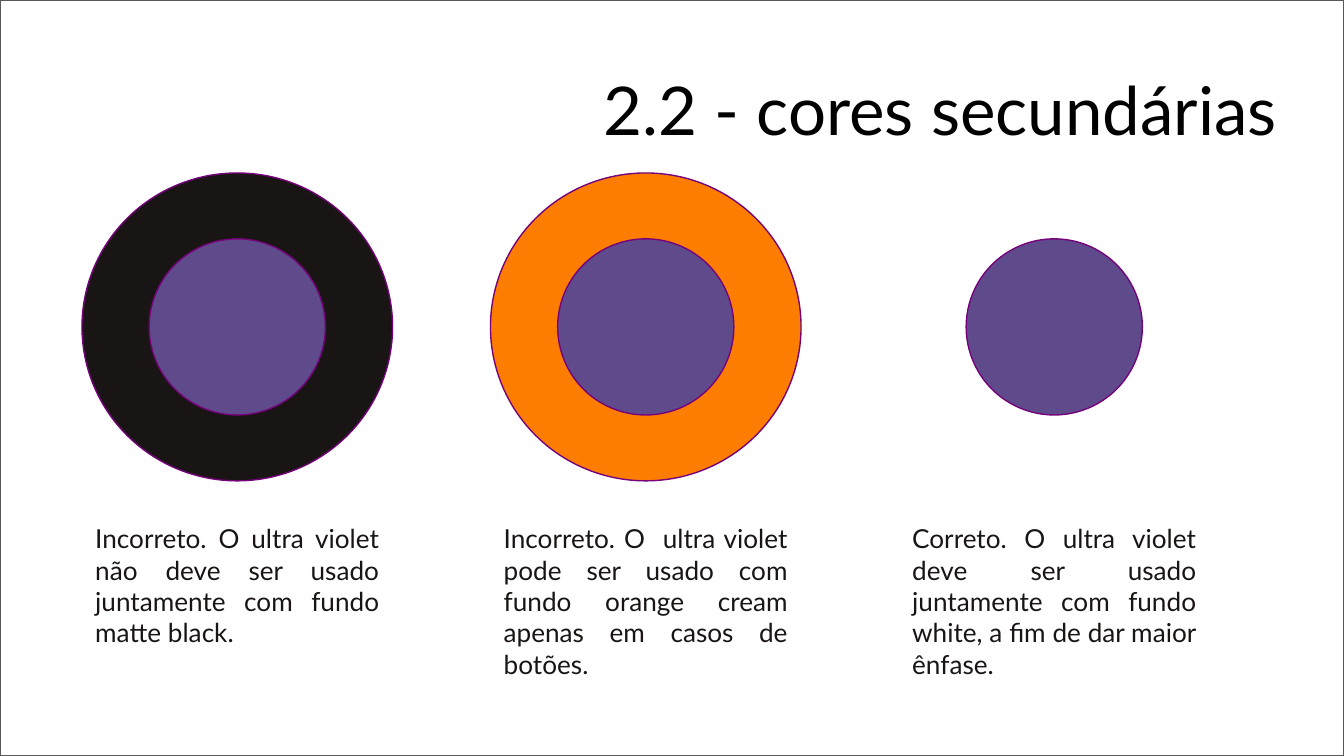
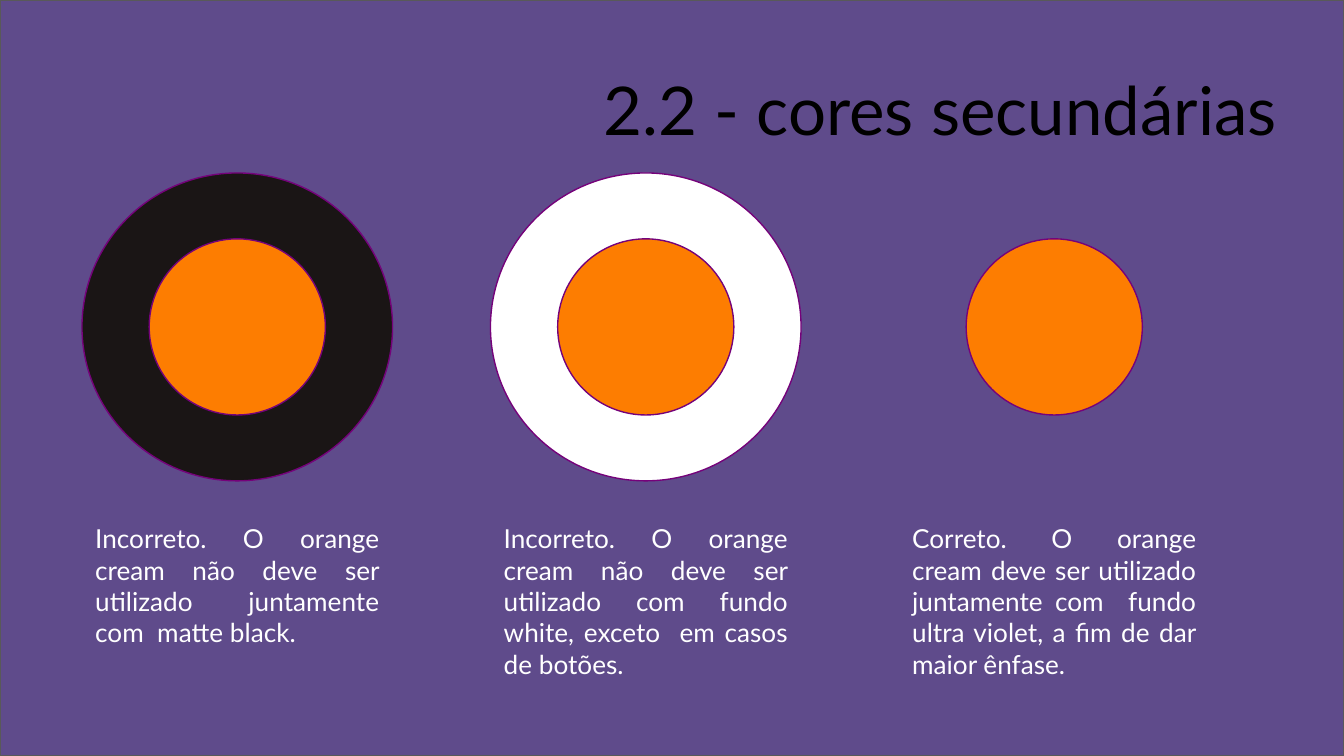
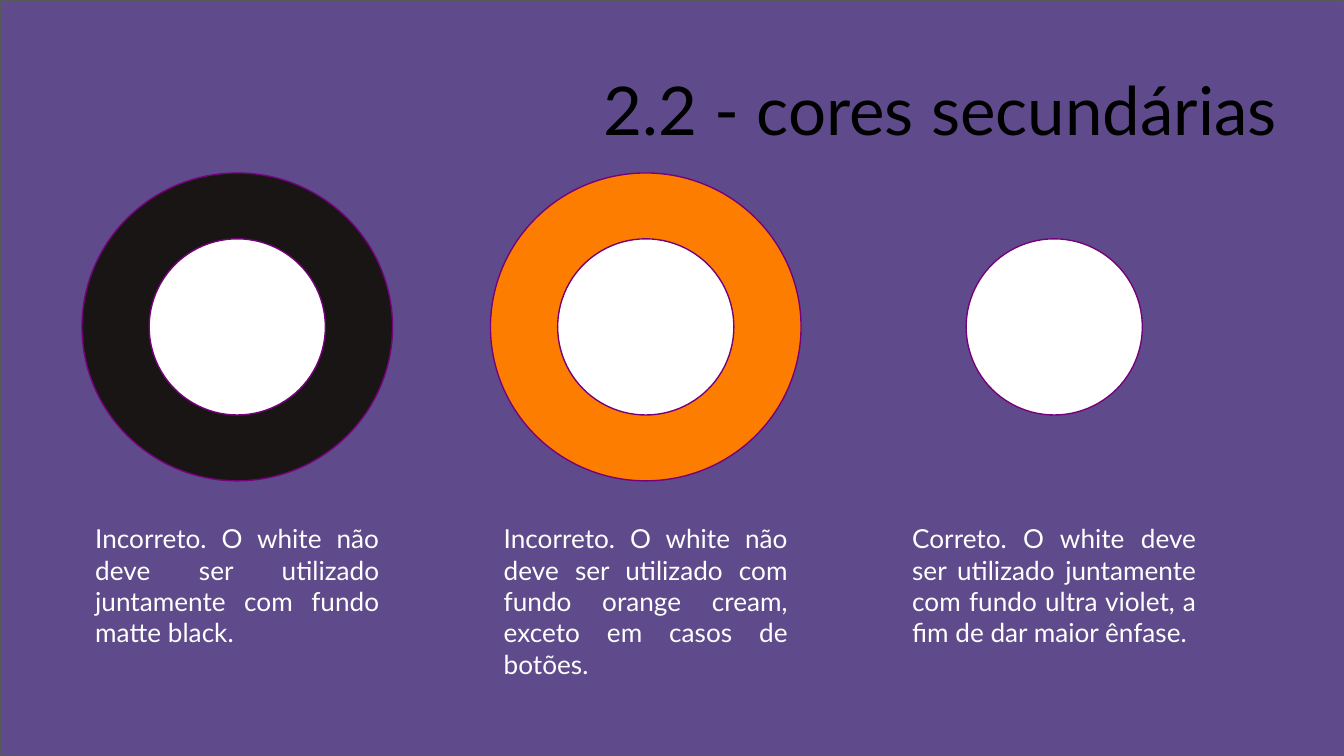
from dataclasses import dataclass
from typing import Optional

from pptx import Presentation
from pptx.dml.color import RGBColor
from pptx.enum import shapes, text
from pptx.util import Cm, Length, Pt


@dataclass(frozen=True)
class Theme:
    white: str = "FFFFFF"
    black: str = "1A1515"
    violet: str = "5F4B8B"
    orange: str = "FD7D01"
    ink: str = "000000"
    frame: str = "595959"
    rim: str = "75027A"
    font: str = "Lato"
    head: int = 36
    body: int = 14
    line: float = 0.75


@dataclass(frozen=True)
class Sample:
    note: str
    ring: Optional[str] = None
    tall: bool = False


@dataclass(frozen=True)
class Page:
    back: str
    dot: str
    ink: str
    samples: tuple[Sample, ...]


THEME = Theme()
TITLE = "2.2 - cores secundárias"
WIDTH, HEIGHT = Cm(25.4), Cm(14.29)
LEFT, STEP = Cm(1.55), Cm(7.72)
RING_W, RING_H, DOT = Cm(5.87), Cm(5.82), Cm(3.33)
MID = Cm(6.18)
NOTE_TOP, LOW, TALL = Cm(9.63), Cm(2.57), Cm(3.63)

PAGES = (
    Page(THEME.white, THEME.violet, THEME.black, (
        Sample("Incorreto. O ultra violet não deve ser usado juntamente "
               "com fundo matte black.", THEME.black),
        Sample("Incorreto. O  ultra violet pode ser usado com fundo "
               "orange cream apenas em casos de botões.", THEME.orange),
        Sample("Correto. O ultra violet deve ser usado juntamente com "
               "fundo white, a fim de dar maior ênfase.", tall=True),
    )),
    Page(THEME.violet, THEME.orange, THEME.white, (
        Sample("Incorreto. O orange cream não deve ser utilizado "
               "juntamente com  matte black.", THEME.black),
        Sample("Incorreto. O orange cream não deve ser utilizado com "
               "fundo white, exceto  em casos de botões.",
               THEME.white, tall=True),
        Sample("Correto. O orange cream deve ser utilizado juntamente com "
               " fundo ultra violet, a fim de dar maior ênfase.", tall=True),
    )),
    Page(THEME.violet, THEME.white, THEME.white, (
        Sample("Incorreto. O white não deve ser utilizado juntamente "
               "com fundo matte black.", THEME.black),
        Sample("Incorreto. O white não deve ser utilizado com fundo "
               "orange cream, exceto em casos de botões.", THEME.orange),
        Sample("Correto. O white deve ser utilizado juntamente com fundo "
               "ultra violet, a fim de dar maior ênfase.", tall=True),
    )),
)


def add_form(slide, kind, x: Length, y: Length, w: Length, h: Length,
             fill: str, line: str) -> None:
    form = slide.shapes.add_shape(kind, x, y, w, h)
    form.shadow.inherit = False
    form.fill.solid()
    form.fill.fore_color.rgb = RGBColor.from_string(fill)
    form.line.color.rgb = RGBColor.from_string(line)
    form.line.width = Pt(THEME.line)


def add_disc(slide, mid: Length, w: Length, h: Length, fill: str) -> None:
    """Draw an ellipse centred on mid across and on MID down."""
    add_form(slide, shapes.MSO_SHAPE.OVAL, mid - w // 2, MID - h // 2,
             w, h, fill, THEME.rim)


def add_text(slide, words: str, x: Length, y: Length, w: Length, h: Length,
             *, size: int, ink: str, align: text.PP_ALIGN) -> None:
    frame = slide.shapes.add_textbox(x, y, w, h).text_frame
    frame.word_wrap = True
    frame.vertical_anchor = text.MSO_ANCHOR.TOP
    frame.margin_left = frame.margin_right = Cm(0.25)
    frame.margin_top = frame.margin_bottom = Cm(0.25)
    para = frame.paragraphs[0]
    para.alignment = align
    run = para.add_run()
    run.text = words
    run.font.name = THEME.font
    run.font.size = Pt(size)
    run.font.color.rgb = RGBColor.from_string(ink)


def add_page(deck, page: Page) -> None:
    slide = deck.slides.add_slide(deck.slide_layouts[6])
    add_form(slide, shapes.MSO_SHAPE.RECTANGLE, 0, 0, WIDTH, HEIGHT,
             page.back, THEME.frame)
    add_text(slide, TITLE, LEFT, Cm(1.04), Cm(22.83), Cm(2.31),
             size=THEME.head, ink=THEME.ink, align=text.PP_ALIGN.RIGHT)
    for col, sample in enumerate(page.samples):
        x = LEFT + col * STEP
        mid = x + RING_W // 2
        if sample.ring:
            add_disc(slide, mid, RING_W, RING_H, sample.ring)
        add_disc(slide, mid, DOT, DOT, page.dot)
        add_text(slide, sample.note, x, NOTE_TOP, RING_W,
                 TALL if sample.tall else LOW, size=THEME.body,
                 ink=page.ink, align=text.PP_ALIGN.JUSTIFY)


def main() -> None:
    deck = Presentation()
    deck.slide_width, deck.slide_height = WIDTH, HEIGHT
    for page in PAGES:
        add_page(deck, page)
    deck.save("out.pptx")


if __name__ == "__main__":
    main()
